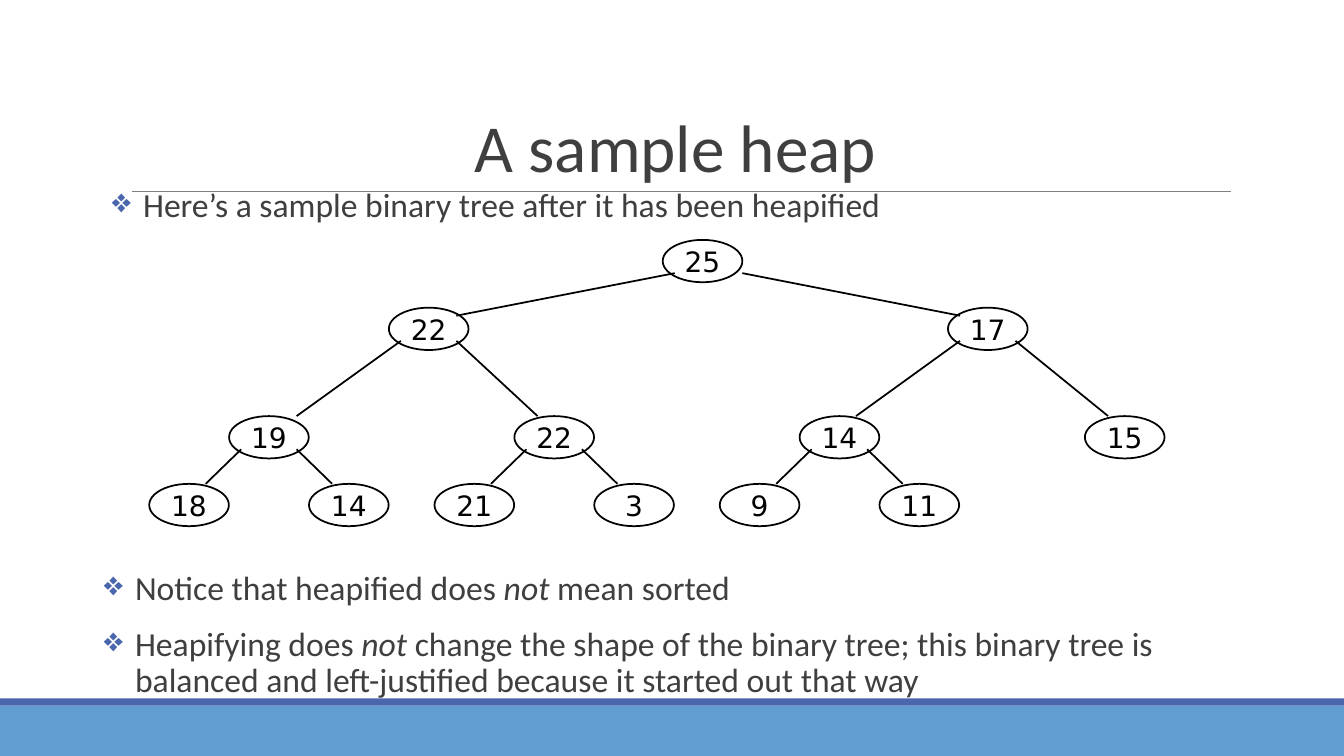
from dataclasses import dataclass

from lxml import etree
from pptx import Presentation
from pptx.dml.color import RGBColor
from pptx.enum.shapes import MSO_CONNECTOR, MSO_SHAPE
from pptx.enum.text import MSO_ANCHOR, PP_ALIGN
from pptx.oxml.ns import qn
from pptx.util import Inches, Pt

STRAIGHT = MSO_CONNECTOR.STRAIGHT
RECTANGLE, OVAL = MSO_SHAPE.RECTANGLE, MSO_SHAPE.OVAL
TOP, MIDDLE, BOTTOM = MSO_ANCHOR.TOP, MSO_ANCHOR.MIDDLE, MSO_ANCHOR.BOTTOM
LEFT, CENTER = PP_ALIGN.LEFT, PP_ALIGN.CENTER


@dataclass(frozen=True)
class Theme:
    text: str = "3F3F3F"
    accent: str = "4A66AC"
    band: str = "629DD1"
    rule: str = "7F7F7F"
    ink: str = "000000"
    font: str = "Calibri"
    node_font: str = "DejaVu Sans"
    title_size: float = 48
    body_size: float = 24
    node_size: float = 20
    rule_width: float = 0.75
    ink_width: float = 1.25


@dataclass(frozen=True)
class Box:
    left: float
    top: float
    width: float
    height: float

    def inches(self):
        return [Inches(v) for v in (self.left, self.top, self.width, self.height)]


THEME = Theme()
PAGE = Box(0, 0, 13.33, 7.5)
NODE_WIDTH, NODE_HEIGHT = 0.79, 0.42
TREE_COLUMNS, TREE_ROWS = 82, 36
LEVEL_ROWS = [0, 10, 26, 36]
HEAP = [
    (25, 45),
    (22, 21), (17, 70),
    (19, 7), (22, 32), (14, 57), (15, 82),
    (18, 0), (14, 14), (21, 25), (3, 39), (9, 50), (11, 64),
]
EXIT_INSET, EXIT_DROP = 0.12, 0.33
ENTRY_INSETS = [0, 0.12, 0.23, 0.23]
ENTRY_DROPS = [0, 0.08, 0, 0]
SPECIAL_EXITS = {2: 0}
SPECIAL_ENTRIES = {3: 0.12}


def color(value):
    return RGBColor.from_string(value)


def add_bullet(para, character, tint, indent):
    properties = para._p.get_or_add_pPr()
    properties.set("marL", str(Inches(indent)))
    properties.set("indent", str(-Inches(indent)))
    bullet_color = etree.SubElement(properties, qn("a:buClr"))
    etree.SubElement(bullet_color, qn("a:srgbClr")).set("val", tint)
    etree.SubElement(properties, qn("a:buChar")).set("char", character)


def write_text(shape, text, *, size, font=THEME.font, tint=THEME.text, align=LEFT,
               anchor=TOP, side=0, edge=0.05, spacing=1, gap=0, bullet=None, wrap=True):
    frame = shape.text_frame
    frame.word_wrap = wrap
    frame.vertical_anchor = anchor
    frame.margin_left = frame.margin_right = Inches(side)
    frame.margin_top = frame.margin_bottom = Inches(edge)
    for index, line in enumerate(text.split("\n")):
        para = frame.paragraphs[0] if index == 0 else frame.add_paragraph()
        para.alignment = align
        para.line_spacing = spacing
        para.space_before = Pt(gap if index else 0)
        if bullet:
            add_bullet(para, bullet, THEME.accent, 0.31)
        for position, words in enumerate(line.split("*")):
            span = para.add_run()
            span.text = words
            span.font.size = Pt(size)
            span.font.name = font
            span.font.italic = position % 2 == 1
            span.font.color.rgb = color(tint)


def add_shape(page, kind, box, fill=None, line=None):
    shape = page.shapes.add_shape(kind, *box.inches())
    shape.shadow.inherit = False
    if fill:
        shape.fill.solid()
        shape.fill.fore_color.rgb = color(fill)
    else:
        shape.fill.background()
    if line:
        shape.line.color.rgb = color(line)
        shape.line.width = Pt(THEME.ink_width)
    else:
        shape.line.fill.background()
    return shape


def add_line(page, start, end, tint, width):
    line = page.shapes.add_connector(STRAIGHT, *[Inches(v) for v in (*start, *end)])
    line.line.color.rgb = color(tint)
    line.line.width = Pt(width)
    etree.SubElement(line._element.spPr, qn("a:effectLst"))


def add_footer(page, box):
    stripe = 0.07
    add_shape(page, RECTANGLE, box, fill=THEME.band)
    add_shape(page, RECTANGLE, Box(box.left, box.top - stripe, box.width, stripe),
              fill=THEME.accent)


def add_title(page, box, text):
    title = page.shapes.add_textbox(*box.inches())
    write_text(title, text, size=THEME.title_size, align=CENTER, anchor=BOTTOM,
               side=0.1, spacing=0.85)
    bottom = box.top + box.height
    start = box.left + 0.01 * box.width
    add_line(page, (start, bottom), (start + 10.9, bottom), THEME.rule, THEME.rule_width)


def add_bullets(page, box, text):
    body = page.shapes.add_textbox(*box.inches())
    write_text(body, text, size=THEME.body_size, spacing=0.9, gap=14, bullet="❖")


def add_branch(page, index, level, parent, child):
    is_left = index % 2 == 1
    leave = SPECIAL_EXITS.get(index, EXIT_INSET)
    enter = SPECIAL_ENTRIES.get(index, ENTRY_INSETS[level])
    start_x = parent.left + (leave if is_left else NODE_WIDTH - leave)
    end_x = child.left + (NODE_WIDTH - enter if is_left else enter)
    add_line(page, (start_x, parent.top + EXIT_DROP),
             (end_x, child.top + ENTRY_DROPS[level]), THEME.ink, THEME.ink_width)


def add_heap(page, box, heap):
    column = (box.width - NODE_WIDTH) / TREE_COLUMNS
    row = (box.height - NODE_HEIGHT) / TREE_ROWS
    nodes = []
    for index, (value, place) in enumerate(heap):
        level = (index + 1).bit_length() - 1
        node = Box(box.left + place * column, box.top + LEVEL_ROWS[level] * row,
                   NODE_WIDTH, NODE_HEIGHT)
        nodes.append(node)
        oval = add_shape(page, OVAL, node, line=THEME.ink)
        write_text(oval, str(value), size=THEME.node_size, font=THEME.node_font,
                   tint=THEME.ink, align=CENTER, anchor=MIDDLE, wrap=False)
        if index:
            add_branch(page, index, level, nodes[(index - 1) // 2], node)


def build_heap_slide(deck):
    page = deck.slides.add_slide(deck.slide_layouts[6])
    add_footer(page, Box(0, 7, PAGE.width, 0.5))
    add_title(page, Box(1.2, 0.31, 11, 1.59), "A sample heap")
    add_bullets(page, Box(1.11, 1.82, 11.33, 0.83),
                "Here’s a sample binary tree after it has been heapified")
    add_bullets(page, Box(1.03, 5.62, 11.33, 1.44),
                "Notice that heapified does *not* mean sorted\n"
                "Heapifying does *not* change the shape of the binary tree; this binary tree "
                "is balanced and left-justified because it started out that way")
    add_heap(page, Box(1.48, 2.38, 10.07, 2.84), HEAP)


def main():
    deck = Presentation()
    deck.slide_width, deck.slide_height = Inches(PAGE.width), Inches(PAGE.height)
    build_heap_slide(deck)
    deck.save("out.pptx")


if __name__ == "__main__":
    main()
